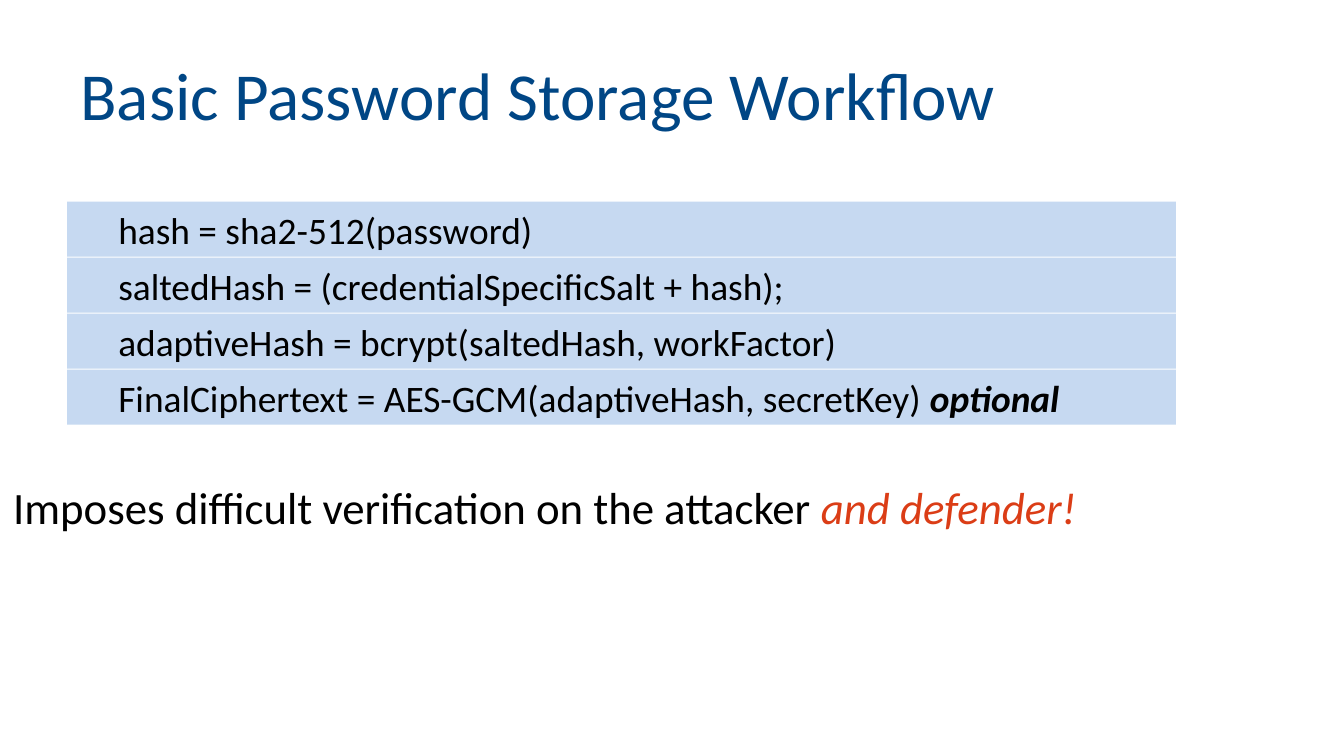
from pptx import Presentation, util as u
from pptx.dml.color import RGBColor
from pptx.enum import shapes, text

WIDTH = u.Inches(10)
HEIGHT = WIDTH * 9 // 16
MARGIN = u.Inches(0.5)
ROW_TOP, ROW_PITCH, ROW_HEIGHT = u.Inches(1.5), u.Inches(1.25 / 3), u.Inches(0.41)
ROW_WIDTH = int(WIDTH * 0.825)
COLORS = {"title": "004685", "body": "000000", "accent": "DB3D16", "row": "C6D9F1"}

STEPS = [
    [("hash = sha2-512(password)", {})],
    [("saltedHash = (credentialSpecificSalt + hash);", {})],
    [("adaptiveHash = bcrypt(saltedHash, workFactor)", {})],
    [("FinalCiphertext = AES-GCM(adaptiveHash, secretKey) ", {}),
     ("optional", {"bold": True, "italic": True})],
]


def color(name):
    return RGBColor.from_string(COLORS[name])


def write_runs(shape, runs, size, anchor=text.MSO_ANCHOR.TOP):
    """Fill the shape with one left-aligned paragraph of (words, style) runs."""
    frame = shape.text_frame
    frame.word_wrap = True
    frame.vertical_anchor = anchor
    paragraph = frame.paragraphs[0]
    paragraph.alignment = text.PP_ALIGN.LEFT
    for words, style in runs:
        run = paragraph.add_run()
        run.text = words
        run.font.name = "Calibri"
        run.font.size = u.Pt(size)
        run.font.bold = style.get("bold", False)
        run.font.italic = style.get("italic", False)
        run.font.color.rgb = color(style.get("color", "body"))


def add_text(slide, box, runs, size, anchor=text.MSO_ANCHOR.TOP):
    write_runs(slide.shapes.add_textbox(*box), runs, size, anchor)


def add_step(slide, index, runs):
    top = ROW_TOP + index * ROW_PITCH
    shape = slide.shapes.add_shape(
        shapes.MSO_SHAPE.RECTANGLE, MARGIN, top, ROW_WIDTH, ROW_HEIGHT)
    shape.shadow.inherit = False
    shape.fill.solid()
    shape.fill.fore_color.rgb = color("row")
    shape.line.fill.background()
    frame = shape.text_frame
    frame.margin_left, frame.margin_right = u.Inches(0.38), u.Inches(0.07)
    frame.margin_top = frame.margin_bottom = u.Inches(0.04)
    frame.auto_size = text.MSO_AUTO_SIZE.SHAPE_TO_FIT_TEXT
    write_runs(shape, runs, 20)


def main():
    presentation = Presentation()
    presentation.slide_width, presentation.slide_height = WIDTH, HEIGHT
    slide = presentation.slides.add_slide(presentation.slide_layouts[6])
    add_text(slide, (MARGIN, u.Inches(0.23), WIDTH - 2 * MARGIN, u.Inches(0.94)),
             [("Basic Password Storage Workflow", {"color": "title"})],
             36, text.MSO_ANCHOR.MIDDLE)
    add_text(slide, (0, u.Inches(3.52), int(WIDTH * 0.854), u.Inches(0.39)),
             [("Imposes difficult verification on the attacker ", {}),
              ("and defender!", {"color": "accent", "italic": True})], 24)
    for index, runs in enumerate(STEPS):
        add_step(slide, index, runs)
    presentation.save("out.pptx")


if __name__ == "__main__":
    main()
